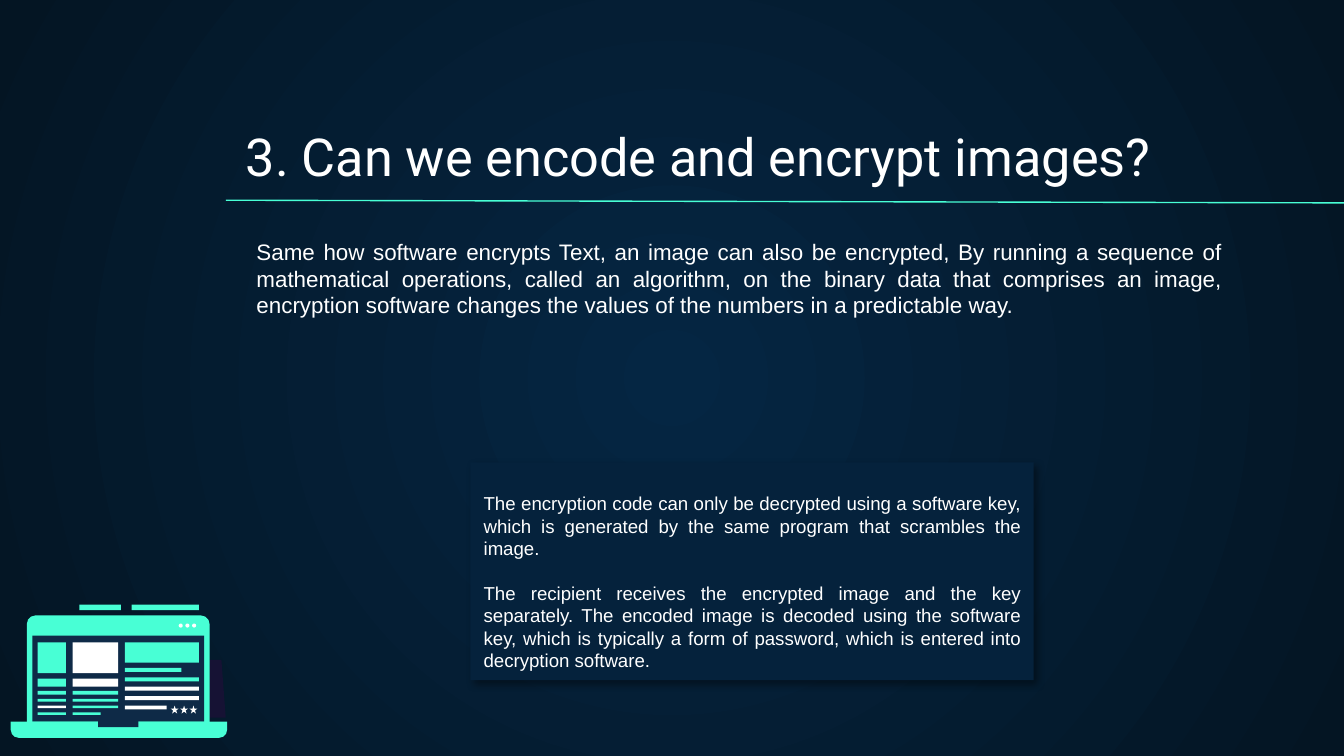
from lxml import etree
from pptx import Presentation
from pptx.dml.color import RGBColor
from pptx.enum.shapes import MSO_CONNECTOR, MSO_SHAPE
from pptx.enum.text import MSO_ANCHOR, PP_ALIGN
from pptx.oxml import parse_xml
from pptx.oxml.ns import qn
from pptx.util import Inches, Pt

RECT, OVAL = MSO_SHAPE.RECTANGLE, MSO_SHAPE.OVAL
STAR, TRAPEZOID = MSO_SHAPE.STAR_5_POINT, MSO_SHAPE.TRAPEZOID
ROUNDED = MSO_SHAPE.ROUND_2_SAME_RECTANGLE
STRAIGHT = MSO_CONNECTOR.STRAIGHT
TOP, BOTTOM = MSO_ANCHOR.TOP, MSO_ANCHOR.BOTTOM
LEFT, JUSTIFY = PP_ALIGN.LEFT, PP_ALIGN.JUSTIFY

MINT, WHITE, NAVY, PURPLE = "48FFD5", "FFFFFF", "0E2A47", "161234"
BOX_FILL = "05223C"
BACKGROUND = ["052643", "041523"]
A_NS = 'xmlns:a="http://schemas.openxmlformats.org/drawingml/2006/main"'

TITLE = "3. Can we encode and encrypt images?"
INTRO = (
    "Same how software encrypts Text, an image can also be encrypted, By running "
    "a sequence of mathematical operations, called an algorithm, on the binary data "
    "that comprises an image, encryption software changes the values of the numbers "
    "in a predictable way."
)
DETAILS = [
    "The encryption code can only be decrypted using a software key, which is "
    "generated by the same program that scrambles the image.",
    "The recipient receives the encrypted image and the key separately. The encoded "
    "image is decoded using the software key, which is typically a form of password, "
    "which is entered into decryption software.",
]

# Laptop parts: preset, colour, (left, top, width, height), adjustments
LAPTOP = [
    (TRAPEZOID, PURPLE, (1.28, 4.91, 0.4, 0.43), [0.08]),
    (RECT, MINT, (0.59, 4.5, 0.31, 0.04), []),
    (RECT, MINT, (0.98, 4.5, 0.5, 0.04), []),
    (ROUNDED, MINT, (0.2, 4.58, 1.36, 0.8), [0.08, 0]),
    (RECT, NAVY, (0.24, 4.73, 1.28, 0.64), []),
    (ROUNDED, MINT, (0.08, 5.37, 1.61, 0.12), [0, 0.5]),
    (RECT, NAVY, (0.73, 5.36, 0.3, 0.05), []),
]
# Screen columns: left edge, then bars as (top, width, height, colour)
COLUMNS = [
    (0.28, [(4.78, 0.21, 0.23, MINT), (5.05, 0.21, 0.06, MINT),
            (5.14, 0.21, 0.03, MINT), (5.2, 0.21, 0.02, MINT),
            (5.25, 0.21, 0.02, WHITE), (5.3, 0.21, 0.02, MINT)]),
    (0.54, [(4.78, 0.34, 0.23, WHITE), (5.05, 0.34, 0.06, WHITE),
            (5.14, 0.34, 0.03, MINT), (5.2, 0.34, 0.02, MINT),
            (5.25, 0.34, 0.02, MINT), (5.3, 0.21, 0.02, MINT)]),
    (0.93, [(4.78, 0.55, 0.15, MINT), (4.97, 0.42, 0.03, MINT),
            (5.04, 0.55, 0.03, MINT), (5.11, 0.55, 0.03, WHITE),
            (5.18, 0.55, 0.03, WHITE), (5.25, 0.31, 0.03, WHITE)]),
]
# Rows of three small marks: preset, left, top, width, height, step
MARKS = [(OVAL, 1.33, 4.64, 0.03, 0.03, 0.05), (STAR, 1.27, 5.25, 0.06, 0.06, 0.07)]


def rgb(color):
    return RGBColor.from_string(color)


def add_filled(shapes, preset, color, box, adjustments=()):
    sp = shapes.add_shape(preset, *map(Inches, box))
    sp.shadow.inherit = False
    sp.fill.solid()
    sp.fill.fore_color.rgb = rgb(color)
    sp.line.fill.background()
    for i, value in enumerate(adjustments):
        sp.adjustments[i] = value
    return sp


def write(sp, paragraphs, font, size, align, anchor=TOP, gap=0):
    tf = sp.text_frame
    tf.word_wrap = True
    tf.vertical_anchor = anchor
    for i, text in enumerate(paragraphs):
        p = tf.paragraphs[0] if i == 0 else tf.add_paragraph()
        p.alignment = align
        if i:
            p.space_before = Pt(gap)
        r = p.add_run()
        r.text = text
        r.font.name = font
        r.font.size = Pt(size)
        r.font.color.rgb = rgb(WHITE)
    return tf


def set_radial_background(s):
    fill = s.background.fill
    fill.gradient()
    for stop, color in zip(fill.gradient_stops, BACKGROUND):
        stop.color.rgb = rgb(color)
    grad = s.element.find(".//" + qn("a:gradFill"))
    grad.remove(grad.find(qn("a:lin")))
    grad.append(parse_xml(
        f'<a:path {A_NS} path="circle">'
        '<a:fillToRect l="50000" t="50000" r="50000" b="50000"/></a:path>'))


def add_laptop(s):
    shapes = s.shapes.add_group_shape().shapes
    for preset, color, box, adjustments in LAPTOP:
        add_filled(shapes, preset, color, box, adjustments)
    for left, bars in COLUMNS:
        for top, width, height, color in bars:
            add_filled(shapes, RECT, color, (left, top, width, height))
    for preset, left, top, width, height, step in MARKS:
        for i in range(3):
            add_filled(shapes, preset, WHITE, (left + i * step, top, width, height))


def add_details(s):
    sp = add_filled(s.shapes, RECT, BOX_FILL, (3.5, 3.44, 4.19, 1.62))
    sp.element.spPr.find(qn("a:effectLst")).append(parse_xml(
        f'<a:outerShdw {A_NS} blurRad="{Pt(4)}" dist="{Pt(3)}" dir="2700000" '
        'algn="tl" rotWithShape="0"><a:srgbClr val="000000">'
        '<a:alpha val="40000"/></a:srgbClr></a:outerShdw>'))
    tf = write(sp, DETAILS, "Arial", 10, JUSTIFY, gap=12)
    tf.margin_top = Inches(0.22)


def main():
    prs = Presentation()
    prs.slide_width = Inches(10)
    prs.slide_height = prs.slide_width * 9 // 16
    s = prs.slides.add_slide(prs.slide_layouts[6])
    set_radial_background(s)

    title = s.shapes.add_textbox(*map(Inches, (1.73, 0.83, 8.19, 0.66)))
    tf = write(title, [TITLE], "Roboto", 28, LEFT, BOTTOM)
    tf.margin_top = tf.margin_bottom = Inches(0.1)

    rule = s.shapes.add_connector(STRAIGHT, *map(Inches, (1.68, 1.49, 10.09, 1.51)))
    rule.line.color.rgb = rgb(MINT)
    rule.line.width = Pt(0.75)
    etree.SubElement(rule.element.spPr, qn("a:effectLst"))

    add_laptop(s)
    intro = s.shapes.add_textbox(*map(Inches, (1.81, 1.72, 7.39, 0.71)))
    write(intro, [INTRO], "Arial", 12, JUSTIFY)
    add_details(s)
    prs.save("out.pptx")


if __name__ == "__main__":
    main()
